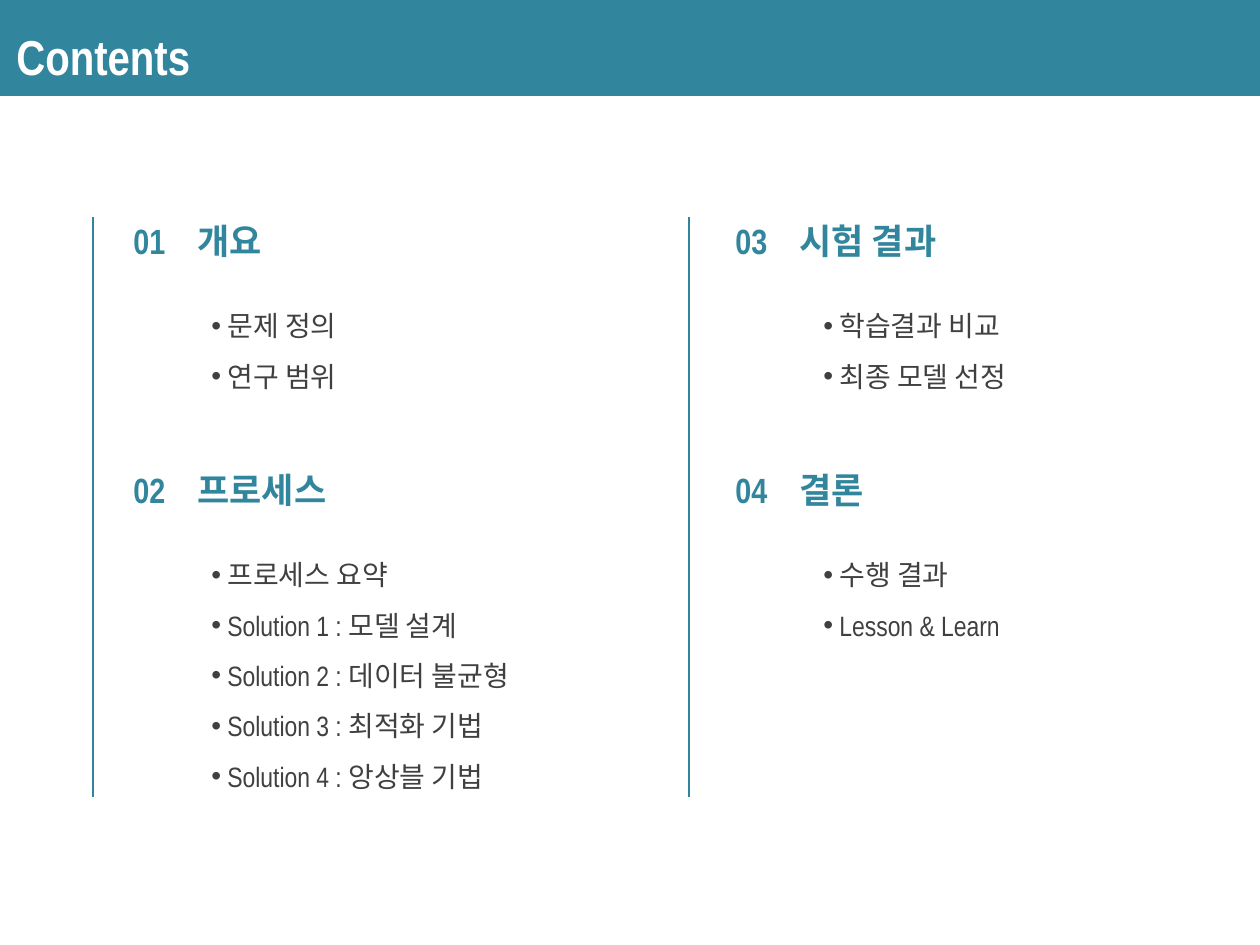
"""Build a contents slide with four numbered sections in two columns."""
from dataclasses import dataclass

from lxml.etree import SubElement
from pptx import Presentation
from pptx.dml.color import RGBColor
from pptx.enum.shapes import MSO_CONNECTOR, MSO_SHAPE
from pptx.enum.text import MSO_ANCHOR
from pptx.oxml.ns import qn
from pptx.util import Pt

TITLE = "Contents"
COLUMNS = [
    {"rule": 93, "head": 121, "list": 199, "parts": [
        ("01", "개요", 267, 360, ["문제 정의", "연구 범위"]),
        ("02", "프로세스", 410, 455, [
            "프로세스 요약",
            "Solution 1 : 모델 설계",
            "Solution 2 : 데이터 불균형",
            "Solution 3 : 최적화 기법",
            "Solution 4 : 앙상블 기법",
        ]),
    ]},
    {"rule": 689, "head": 723, "list": 811, "parts": [
        ("03", "시험 결과", 398, 360, ["학습결과 비교", "최종 모델 선정"]),
        ("04", "결론", 398, 360, ["수행 결과", "Lesson & Learn"]),
    ]},
]


@dataclass(frozen=True)
class Theme:
    font: str = "Arial Narrow"
    teal: str = "31859C"
    gray: str = "404040"
    white: str = "FFFFFF"
    title: int = 28
    head: int = 20
    body: int = 16
    rule: float = 1.5


THEME = Theme()
WIDTH, HEIGHT = 1260, 945
TOP, STEP, DROP = 213, 249, 73
ROW, PAD = 51, 7
TAB, INDENT = 64, 16
RULE_TOP, RULE_END = 217, 797


def px(num):
    return round(num * 914400 / 126)


def add_text(slide, lines, box, size, color, bold=False, wrap=True,
             anchor=MSO_ANCHOR.TOP, space=None, bullet=None, tab=None):
    frame = slide.shapes.add_textbox(*map(px, box)).text_frame
    frame.word_wrap = wrap
    frame.vertical_anchor = anchor
    for i, line in enumerate(lines):
        para = frame.add_paragraph() if i else frame.paragraphs[0]
        if space:
            para.line_spacing = space
        props = para._p.get_or_add_pPr()
        if bullet:
            props.set("marL", str(px(INDENT)))
            props.set("indent", str(-px(INDENT)))
            SubElement(props, qn("a:buFont"), typeface="Arial")
            SubElement(props, qn("a:buChar"), char=bullet)
        if tab:
            tabs = SubElement(props, qn("a:tabLst"))
            SubElement(tabs, qn("a:tab"), pos=str(px(tab)), algn="l")
        run = para.add_run()
        run.text = line
        run.font.name = THEME.font
        run.font.size = Pt(size)
        run.font.bold = bold
        run.font.color.rgb = RGBColor.from_string(color)


def add_band(slide):
    band = slide.shapes.add_shape(MSO_SHAPE.RECTANGLE, 0, 0, px(WIDTH), px(96))
    band.shadow.inherit = False
    band.fill.solid()
    band.fill.fore_color.rgb = RGBColor.from_string(THEME.teal)
    band.line.fill.background()


def add_rule(slide, left):
    rule = slide.shapes.add_connector(
        MSO_CONNECTOR.STRAIGHT, px(left), px(RULE_TOP), px(left), px(RULE_END))
    rule.line.color.rgb = RGBColor.from_string(THEME.teal)
    rule.line.width = Pt(THEME.rule)
    SubElement(rule._element.spPr, qn("a:effectLst"))


def add_column(slide, col):
    for i, (num, name, wide, span, items) in enumerate(col["parts"]):
        top = TOP + i * STEP
        add_text(slide, [f"{num}\t{name}"], (col["head"], top, wide, 55),
                 THEME.head, THEME.teal, bold=True, tab=TAB)
        add_text(slide, items,
                 (col["list"], top + DROP, span, ROW * len(items) + PAD),
                 THEME.body, THEME.gray, space=1.5, bullet="•")
    add_rule(slide, col["rule"])


def main():
    deck = Presentation()
    deck.slide_width, deck.slide_height = px(WIDTH), px(HEIGHT)
    slide = deck.slides.add_slide(deck.slide_layouts[6])
    add_band(slide)
    for col in COLUMNS:
        add_column(slide, col)
    add_text(slide, [TITLE], (4, 20, 202, 72), THEME.title, THEME.white,
             bold=True, wrap=False, anchor=MSO_ANCHOR.MIDDLE)
    deck.save("out.pptx")


if __name__ == "__main__":
    main()
